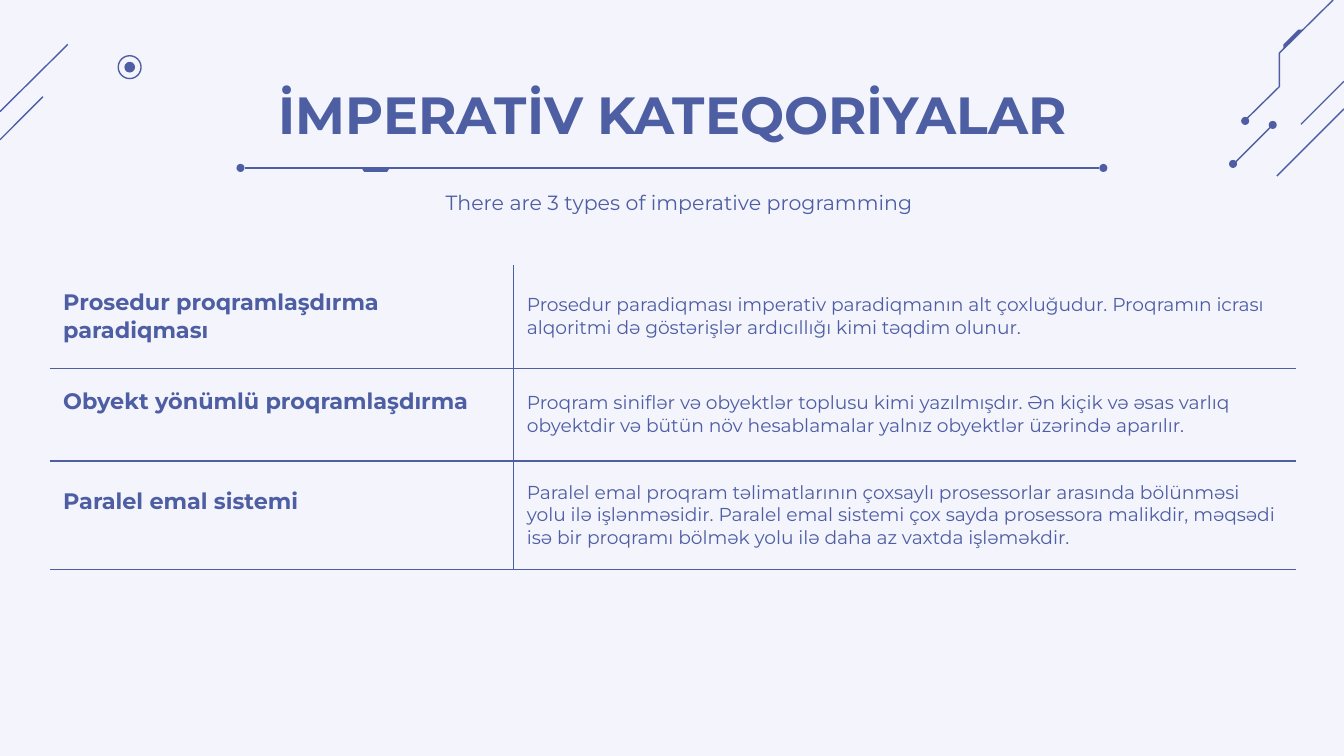
import lxml.etree
import pptx
import pptx.dml.color
import pptx.enum.shapes
import pptx.enum.text
import pptx.oxml.ns
import pptx.util

# The slide is a grid of 100 columns; one grid unit is a tenth of an inch.
UNIT = pptx.util.Inches(0.1)
COLORS = {"paper": "F4F4FC", "ink": "4E5EA3"}
THIN = 0.75
FORMATS = {
    "title": {"name": "Montserrat", "size": pptx.util.Pt(28), "bold": True},
    "subtitle": {"name": "Montserrat", "size": pptx.util.Pt(11), "bold": False},
    "heading": {"name": "Montserrat", "size": pptx.util.Pt(12), "bold": True},
    "detail": {"name": "Montserrat", "size": pptx.util.Pt(10), "bold": False},
}
NO_STYLE = "{2D5ABB26-0587-4C30-8999-92F81FD0307C}"

CATEGORIES = [
    ("Prosedur proqramlaşdırma paradiqması",
     "Prosedur paradiqması imperativ paradiqmanın alt çoxluğudur. Proqramın "
     "icrası alqoritmi də göstərişlər ardıcıllığı kimi təqdim olunur."),
    ("Obyekt yönümlü proqramlaşdırma",
     "Proqram siniflər və obyektlər toplusu kimi yazılmışdır. Ən kiçik və əsas "
     "varlıq obyektdir və bütün növ hesablamalar yalnız obyektlər üzərində aparılır."),
    ("Paralel emal sistemi",
     "Paralel emal proqram təlimatlarının çoxsaylı prosessorlar arasında bölünməsi "
     "yolu ilə işlənməsidir. Paralel emal sistemi çox sayda prosessora malikdir, "
     "məqsədi isə bir proqramı bölmək yolu ilə daha az vaxtda işləməkdir."),
]
COLUMN_WIDTHS = [34.5, 58.2]
ROW_HEIGHTS = [7.7, 6.9, 8.1]


def grid(*units):
    return [round(unit * UNIT) for unit in units]


def color(name):
    return pptx.dml.color.RGBColor.from_string(COLORS[name])


def paint(fill, name):
    fill.solid()
    fill.fore_color.rgb = color(name)


def draw_line(line):
    line.color.rgb = color("ink")
    line.width = pptx.util.Pt(THIN)


def set_attributes(target, values):
    for name, value in values.items():
        setattr(target, name, value)


def write(frame, text, style, align=None):
    para = frame.paragraphs[0]
    para.alignment = align
    span = para.add_run()
    span.text = text
    set_attributes(span.font, FORMATS[style])
    span.font.color.rgb = color("ink")


def write_centred(box, text, style, place, frame_values):
    set_attributes(box, dict(zip(("left", "top", "width", "height"), grid(*place))))
    set_attributes(box.text_frame, {"word_wrap": True, **frame_values})
    write(box.text_frame, text, style, pptx.enum.text.PP_ALIGN.CENTER)


def add_line(page, start, end):
    line = page.shapes.add_connector(
        pptx.enum.shapes.MSO_CONNECTOR.STRAIGHT, *grid(*start, *end))
    draw_line(line.line)
    lxml.etree.SubElement(line._element.spPr, pptx.oxml.ns.qn("a:effectLst"))


def add_circle(page, x, y, size, filled=True):
    circle = page.shapes.add_shape(
        pptx.enum.shapes.MSO_SHAPE.OVAL,
        *grid(x - size / 2, y - size / 2, size, size))
    circle.shadow.inherit = False
    if filled:
        paint(circle.fill, "ink")
        circle.line.fill.background()
    else:
        circle.fill.background()
        draw_line(circle.line)


def add_outline(page, points, filled):
    start, *others = [grid(*point) for point in points]
    builder = page.shapes.build_freeform(*start)
    builder.add_line_segments(others, close=filled)
    outline = builder.convert_to_shape()
    outline.shadow.inherit = False
    if filled:
        paint(outline.fill, "ink")
        outline.line.fill.background()
    else:
        outline.fill.background()
        draw_line(outline.line)


def set_borders(cell, visible):
    """Put borders on the named sides (L, R, T, B) and hide the others."""
    qn = pptx.oxml.ns.qn
    properties = cell._tc.get_or_add_tcPr()
    for index, side in enumerate("LRTB"):
        border = lxml.etree.Element(qn("a:ln" + side), w=str(pptx.util.Pt(THIN)))
        if side in visible:
            fill = lxml.etree.SubElement(border, qn("a:solidFill"))
            lxml.etree.SubElement(fill, qn("a:srgbClr"), val=COLORS["ink"])
        else:
            lxml.etree.SubElement(border, qn("a:noFill"))
        properties.insert(index, border)


def add_category_table(page):
    frame = page.shapes.add_table(
        len(CATEGORIES), len(COLUMN_WIDTHS),
        *grid(3.7, 19.7, sum(COLUMN_WIDTHS), sum(ROW_HEIGHTS)))
    table = frame.table
    set_attributes(table, {"first_row": False, "horz_banding": False})
    table._tbl.tblPr.find(pptx.oxml.ns.qn("a:tableStyleId")).text = NO_STYLE
    for column, width in zip(table.columns, grid(*COLUMN_WIDTHS)):
        column.width = width
    for row, height in zip(table.rows, grid(*ROW_HEIGHTS)):
        row.height = height

    for row, texts in enumerate(CATEGORIES):
        for column, text in enumerate(texts):
            cell = table.cell(row, column)
            # One-line headings sit a line higher than the cell's middle
            raised = column == 0 and row > 0
            set_attributes(cell, {
                "margin_left": UNIT, "margin_right": UNIT, "margin_top": 0,
                "margin_bottom": 2 * UNIT if raised else 0,
                "vertical_anchor": pptx.enum.text.MSO_ANCHOR.MIDDLE})
            write(cell.text_frame, text, ("heading", "detail")[column])
            cell.fill.background()
            set_borders(cell, "RL"[column] + ("TB" if row else "B"))


def add_circuits(page):
    # Diagonal traces at the left and right edges
    for start, end in [((0, 8.3), (5.05, 3.3)), ((0, 10.4), (3.2, 7.2)),
                       ((9.68 * 10, 9.25), (100, 6.05)), ((95, 13.1), (100, 8.1)),
                       ((91.75, 12.25), (94.7, 9.3))]:
        add_line(page, start, end)
    # Bent trace with a chip on it
    add_outline(page, [(92.6, 9), (95.2, 6.45), (95.2, 3.95), (99.2, 0)], False)
    add_outline(page, [(95.5, 3.7), (96.9, 2.2), (96.6, 2.2), (95.5, 3.3)], True)
    # Trace ends and the ringed dot
    for x, y in [(94.7, 9.3), (91.75, 12.2), (92.65, 9)]:
        add_circle(page, x, y, 0.6)
    add_circle(page, 9.65, 5, 1.7, filled=False)
    add_circle(page, 9.65, 5, 0.8)


def add_divider(page):
    add_outline(page, [(26.9, 12.5), (29, 12.5), (28.8, 12.8), (27.1, 12.8)], True)
    add_line(page, (81.8, 12.5), (18.2, 12.5))
    for x in (17.9, 82.1):
        add_circle(page, x, 12.5, 0.6)


def main():
    deck = pptx.Presentation()
    set_attributes(deck, dict(zip(("slide_width", "slide_height"), grid(100, 56.25))))
    page = deck.slides.add_slide(deck.slide_layouts[5])
    paint(page.background.fill, "paper")

    add_circuits(page)
    write_centred(
        page.shapes.title, "İMPERATİV KATEQORİYALAR", "title", (8.6, 6.1, 82.9, 5.7),
        {"margin_top": 0, "margin_bottom": 0,
         "vertical_anchor": pptx.enum.text.MSO_ANCHOR.TOP,
         "auto_size": pptx.enum.text.MSO_AUTO_SIZE.NONE})
    add_category_table(page)
    write_centred(
        page.shapes.add_textbox(0, 0, UNIT, UNIT),
        "There are 3 types of imperative programming", "subtitle",
        (8.6, 13.2, 82.9, 3.9),
        {"margin_left": UNIT, "margin_right": 0, "margin_top": UNIT,
         "margin_bottom": UNIT,
         "auto_size": pptx.enum.text.MSO_AUTO_SIZE.SHAPE_TO_FIT_TEXT})
    add_divider(page)
    deck.save("out.pptx")


if __name__ == "__main__":
    main()
